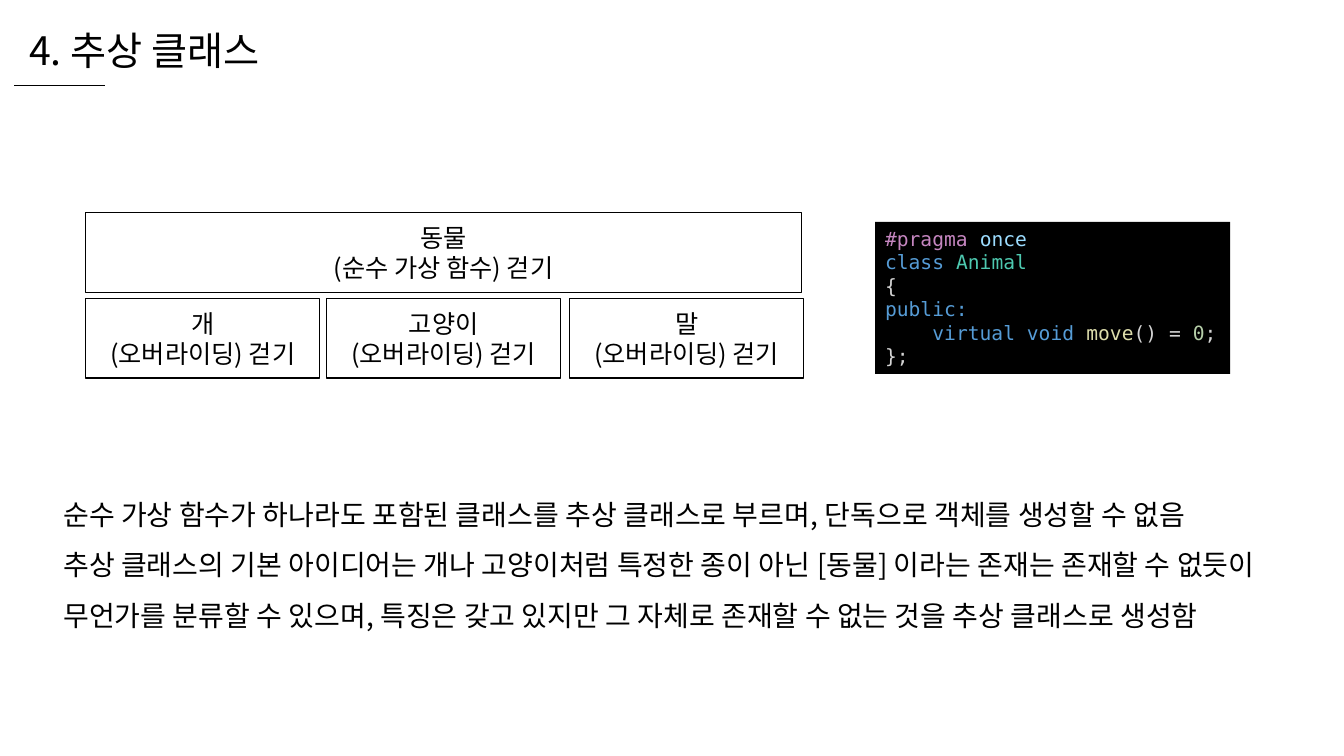
from lxml import etree
from pptx import Presentation
from pptx.dml.color import RGBColor
from pptx.enum.shapes import MSO_CONNECTOR, MSO_SHAPE
from pptx.enum.text import MSO_ANCHOR, MSO_AUTO_SIZE, PP_ALIGN
from pptx.oxml.ns import qn
from pptx.util import Inches, Pt

KOREAN = "Noto Sans CJK KR"
MONO = "DejaVu Sans Mono"
BLACK = "000000"


def rgb(value):
    return RGBColor.from_string(value)


def style(run, size, color=BLACK, face=KOREAN):
    run.font.size = Pt(size)
    run.font.color.rgb = rgb(color)
    run.font.name = face
    east_asian = etree.SubElement(run.font._element, qn("a:ea"))
    east_asian.set("typeface", face)


prs = Presentation()
prs.slide_width = Inches(13.33)
prs.slide_height = Inches(7.5)
slide = prs.slides.add_slide(prs.slide_layouts[6])

title = slide.shapes.add_textbox(Inches(0.19), Inches(0.21), Inches(2.63), Inches(0.57))
title.text_frame.text = "4. 추상 클래스"
title.text_frame.word_wrap = False
title.text_frame.auto_size = MSO_AUTO_SIZE.SHAPE_TO_FIT_TEXT
style(title.text_frame.paragraphs[0].runs[0], 28)

underline = slide.shapes.add_connector(
    MSO_CONNECTOR.STRAIGHT, Inches(0.14), Inches(0.85), Inches(1.04), Inches(0.85))
underline.line.color.rgb = rgb(BLACK)
underline.line.width = Pt(0.5)
etree.SubElement(underline._element.spPr, qn("a:effectLst"))

explanation = slide.shapes.add_textbox(Inches(0.53), Inches(4.72), Inches(12.55), Inches(1.56))
explanation.text_frame.text = "\n".join([
    "순수 가상 함수가 하나라도 포함된 클래스를 추상 클래스로 부르며, 단독으로 객체를 생성할 수 없음",
    "추상 클래스의 기본 아이디어는 개나 고양이처럼 특정한 종이 아닌 [동물] 이라는 존재는 존재할 수 없듯이",
    "무언가를 분류할 수 있으며, 특징은 갖고 있지만 그 자체로 존재할 수 없는 것을 추상 클래스로 생성함",
])
explanation.text_frame.word_wrap = True
explanation.text_frame.auto_size = MSO_AUTO_SIZE.SHAPE_TO_FIT_TEXT
for paragraph in explanation.text_frame.paragraphs:
    paragraph.line_spacing = 1.5
    style(paragraph.runs[0], 20)

hierarchy = slide.shapes.add_group_shape()
classes = [
    ("동물", "(순수 가상 함수) 걷기", 0.85, 2.11, 7.1),
    ("개", "(오버라이딩) 걷기", 0.85, 2.96, 2.32),
    ("고양이", "(오버라이딩) 걷기", 3.24, 2.96, 2.32),
    ("말", "(오버라이딩) 걷기", 5.65, 2.96, 2.32),
]
for animal, method, left, top, width in classes:
    box = hierarchy.shapes.add_shape(
        MSO_SHAPE.RECTANGLE, Inches(left), Inches(top), Inches(width), Inches(0.79))
    box.shadow.inherit = False
    box.fill.solid()
    box.fill.fore_color.rgb = rgb("FFFFFF")
    box.line.color.rgb = rgb(BLACK)
    box.line.width = Pt(1)
    box.text_frame.text = f"{animal}\n{method}"
    box.text_frame.vertical_anchor = MSO_ANCHOR.MIDDLE
    for paragraph in box.text_frame.paragraphs:
        paragraph.alignment = PP_ALIGN.CENTER
        style(paragraph.runs[0], 18)

KEYWORD, PLAIN = "569CD6", "D4D4D4"
code_lines = [
    [("#pragma ", "C586C0"), ("once", "9CDCFE")],
    [("class ", KEYWORD), ("Animal", "4EC9B0")],
    [("{", PLAIN)],
    [("public:", KEYWORD)],
    [("    ", PLAIN), ("virtual void ", KEYWORD), ("move", "DCDCAA"),
     ("() = ", PLAIN), ("0", "B5CEA8"), (";", PLAIN)],
    [("};", PLAIN)],
]
code = slide.shapes.add_shape(
    MSO_SHAPE.RECTANGLE, Inches(8.68), Inches(2.2), Inches(3.52), Inches(1.51))
code.shadow.inherit = False
code.fill.solid()
code.fill.fore_color.rgb = rgb(BLACK)
code.line.fill.background()
code.text_frame.word_wrap = True
code.text_frame.auto_size = MSO_AUTO_SIZE.SHAPE_TO_FIT_TEXT
code.text_frame.vertical_anchor = MSO_ANCHOR.TOP
code.text_frame.text = "\n" * (len(code_lines) - 1)
for paragraph, tokens in zip(code.text_frame.paragraphs, code_lines):
    paragraph.alignment = PP_ALIGN.LEFT
    for token, color in tokens:
        run = paragraph.add_run()
        run.text = token
        style(run, 14, color, MONO)

prs.save("out.pptx")
